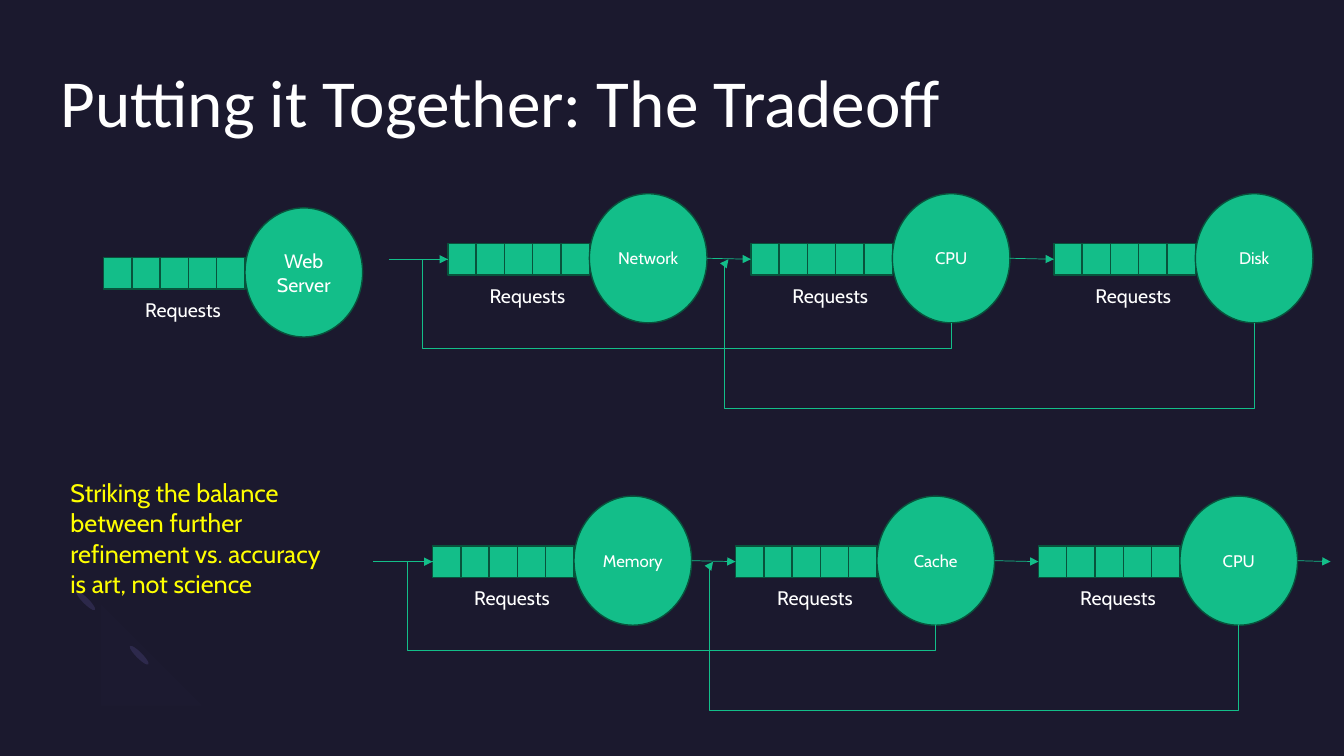
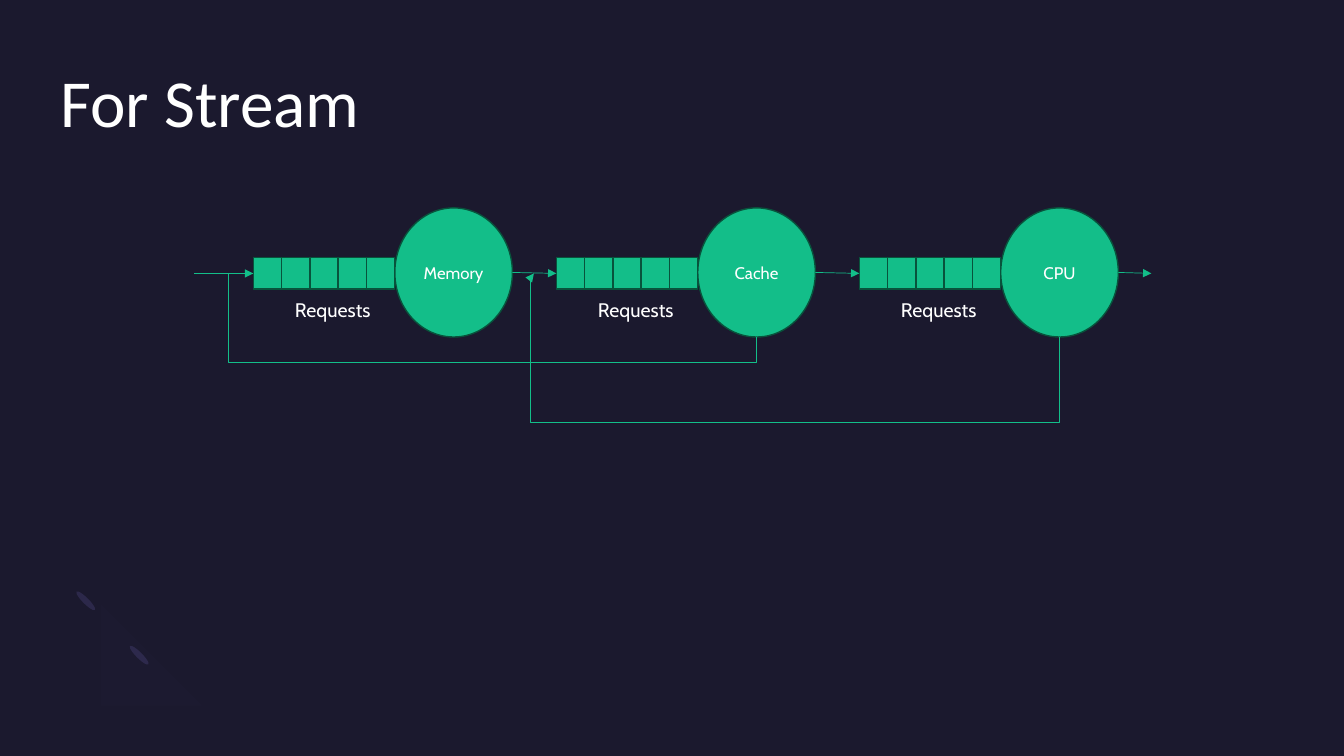
import math

from lxml import etree
from pptx import Presentation
from pptx import util as u
from pptx.dml.color import RGBColor
from pptx.enum import shapes, text
from pptx.oxml.ns import qn

SLIDE_W, SLIDE_H = u.Inches(13.33), u.Inches(7.5)
COLUMNS, ROWS = 48, 24

NIGHT, WHITE, YELLOW = "1B192E", "FFFFFF", "FFFF00"
GREEN, DARK_GREEN = "13BE89", "08533C"
DASH, RING = "2C284A", "7771B2"

TITLE_FONT = {"name": "Calibri", "size": u.Pt(48), "color": WHITE}
SERVER_FONT = {"name": "Cabin", "size": u.Pt(12), "color": WHITE}
LABEL_FONT = {"name": "Cabin", "size": u.Pt(14), "color": WHITE}
NOTE_FONT = {"name": "Cabin", "size": u.Pt(18), "color": YELLOW}

QUEUE_LENGTH, CELL_COLS = 5, 1.01
QUEUE_COLS = QUEUE_LENGTH * CELL_COLS
QUEUE_DROP = 1.58  # rows from the top of a server to its queue
SERVER_COLS, SERVER_ROWS = 4.2, 4.1
STATION_PITCH = 10.82


def col(count):
    return u.Emu(round(SLIDE_W * count / COLUMNS))


def row(count):
    return u.Emu(round(SLIDE_H * count / ROWS))


def rgb(hex_colour):
    return RGBColor.from_string(hex_colour)


def set_all(target, **values):
    for key, value in values.items():
        setattr(target, key, value)


def format_font(font, style):
    for key, value in style.items():
        if key == "color":
            font.color.rgb = rgb(value)
        else:
            setattr(font, key, value)


def add_filled(slide, preset, box, fill, outline=None):
    shape = slide.shapes.add_shape(preset, *box)
    paint(shape, fill, outline)
    return shape


def paint(shape, fill, outline=None):
    shape.shadow.inherit = False
    shape.fill.solid()
    shape.fill.fore_color.rgb = rgb(fill)
    if outline:
        shape.line.color.rgb = rgb(outline)
        shape.line.width = u.Pt(1)
    else:
        shape.line.fill.background()


def add_label(slide, box, lines, style):
    label = slide.shapes.add_textbox(*box)
    frame = label.text_frame
    frame.text = "\n".join(lines)
    set_all(frame, word_wrap=False, auto_size=text.MSO_AUTO_SIZE.SHAPE_TO_FIT_TEXT)
    for paragraph in frame.paragraphs:
        format_font(paragraph.runs[0].font, style)


def style_connector(connector, arrow):
    connector.line.color.rgb = rgb(GREEN)
    connector.line.width = u.Pt(0.5)
    if arrow:
        line = connector.line._get_or_add_ln()
        etree.SubElement(line, qn("a:tailEnd"), type="triangle")
    etree.SubElement(connector._element.spPr, qn("a:effectLst"))


def add_link(slide, start, end, target=None, arrow=True):
    """Draw a straight line, joined to the left side of target if given."""
    link = slide.shapes.add_connector(shapes.MSO_CONNECTOR.STRAIGHT, *start, *end)
    if target is not None:
        link.end_connect(target, 1)
    style_connector(link, arrow)


def add_feedback(slide, start, end, depth, turn_x):
    """Go down from start by depth, left to turn_x, then up and into end."""
    (start_x, start_y), (end_x, end_y) = start, end
    across, rise = start_x - end_x, start_y - end_y
    loop = slide.shapes.add_connector(
        shapes.MSO_CONNECTOR.ELBOW, 0, 0, rise, across)
    set_all(loop,
            left=u.Emu((start_x + end_x - rise) // 2),
            top=u.Emu((start_y + end_y - across) // 2))
    properties = loop._element.spPr
    frame = properties.find(qn("a:xfrm"))
    frame.set("rot", "5400000")
    frame.set("flipH", "1")
    geometry = properties.find(qn("a:prstGeom"))
    geometry.set("prst", "bentConnector4")
    guides = geometry.find(qn("a:avLst"))
    if guides is None:
        guides = etree.SubElement(geometry, qn("a:avLst"))
    ratios = -depth / rise, (start_x - turn_x) / across
    for number, ratio in enumerate(ratios, 1):
        etree.SubElement(guides, qn("a:gd"), name=f"adj{number}",
                         fmla=f"val {round(ratio * 100000)}")
    style_connector(loop, True)


def add_station(slide, left, top, name, style=SERVER_FONT):
    """Draw a request queue with its server; return the first queue cell."""
    cells = [
        add_filled(slide, shapes.MSO_SHAPE.RECTANGLE,
                   (col(left + place * CELL_COLS), row(top + QUEUE_DROP),
                    col(CELL_COLS), row(1)), GREEN, DARK_GREEN)
        for place in range(QUEUE_LENGTH)
    ]
    server = add_filled(slide, shapes.MSO_SHAPE.OVAL,
                        (col(left + QUEUE_COLS), row(top),
                         col(SERVER_COLS), row(SERVER_ROWS)), GREEN, DARK_GREEN)
    frame = server.text_frame
    set_all(frame, text=name, word_wrap=True, vertical_anchor=text.MSO_ANCHOR.MIDDLE)
    frame.paragraphs[0].alignment = text.PP_ALIGN.CENTER
    format_font(frame.paragraphs[0].runs[0].font, style)
    add_label(slide, (col(left + 1.13), row(top + 2.7), col(3.45), row(1.08)),
              ["Requests"], LABEL_FONT)
    return cells[0]


def add_chain(slide, left, top, names, has_exit=True):
    """Draw stations in series with their entry, links and feedback loops."""
    lefts = [left + STATION_PITCH * place for place in range(len(names))]
    heads = [add_station(slide, station, top, name)
             for station, name in zip(lefts, names)]
    queue_y, server_y = row(top + QUEUE_DROP + 0.5), row(top + SERVER_ROWS / 2)
    rights = [station + QUEUE_COLS + SERVER_COLS for station in lefts]

    add_link(slide, (col(left - 2.12), queue_y), (col(left), queue_y),
             heads[0], arrow=False)
    for right, head in zip(rights, heads[1:]):
        add_link(slide, (col(right), server_y), (head.left, queue_y), head)
    if has_exit:
        add_link(slide, (col(rights[-1]), server_y),
                 (col(rights[-1] + 1.18), queue_y))

    loops = [(1, lefts[0], 0.8, 0.9), (2, lefts[1] - 0.8, 2.7, 0.14)]
    for source, landing, depth, turn in loops:
        add_feedback(slide,
                     (col(rights[source] - SERVER_COLS / 2), row(top + SERVER_ROWS)),
                     (col(landing), queue_y), row(depth), col(landing - turn))


def arc(radius, start, stop, steps=24):
    """Points round the centre of the corner ring, in inches."""
    angles = (math.radians(start + (stop - start) * step / steps)
              for step in range(steps + 1))
    return [(1.17 + radius * math.cos(angle), 6.18 + radius * math.sin(angle))
            for angle in angles]


def decorate_layout(layout, slide):
    """Draw the corner ornament and move it from slide to the shared layout."""
    ornaments = []
    for left, top in ((1.35, 6.37), (0.82, 5.83)):
        dash = add_filled(slide, shapes.MSO_SHAPE.OVAL,
                          [u.Inches(length) for length in (left, top, 0.06, 0.26)],
                          DASH)
        dash.rotation = 135
        ornaments.append(dash)
    outline = arc(0.51, 45, 225) + arc(0.26, 225, 45)
    builder = slide.shapes.build_freeform(*outline[0], scale=u.Inches(1))
    builder.add_line_segments(outline[1:], close=True)
    ring = builder.convert_to_shape()
    paint(ring, RING)
    colour = ring._element.spPr.find(qn("a:solidFill"))[0]
    etree.SubElement(colour, qn("a:alpha"), val="2000")
    ornaments.append(ring)
    for place, ornament in enumerate(ornaments, 2):
        layout.shapes.element.insert(place, ornament._element)


def add_titled_slide(deck, layout, title):
    slide = deck.slides.add_slide(layout)
    heading = slide.shapes.title
    set_all(heading, left=col(2.16), top=row(1.92),
            width=col(43.68), height=row(4.67))
    frame = heading.text_frame
    set_all(frame, text=title, word_wrap=True,
            auto_size=text.MSO_AUTO_SIZE.NONE,
            vertical_anchor=text.MSO_ANCHOR.TOP,
            margin_left=0, margin_top=0, margin_right=0, margin_bottom=0)
    frame.paragraphs[0].alignment = text.PP_ALIGN.LEFT
    format_font(frame.paragraphs[0].runs[0].font, TITLE_FONT)
    return slide


def main():
    deck = Presentation()
    set_all(deck, slide_width=SLIDE_W, slide_height=SLIDE_H)
    backdrop = deck.slide_master.background.fill
    backdrop.solid()
    backdrop.fore_color.rgb = rgb(NIGHT)
    layout = deck.slide_layouts.get_by_name("Title Only")

    tradeoff = add_titled_slide(deck, layout, "Putting it Together: The Tradeoff")
    decorate_layout(layout, tradeoff)
    add_station(tradeoff, 3.7, 6.6, "Web Server", LABEL_FONT)
    add_chain(tradeoff, 16, 6.15, ["Network", "CPU", "Disk"], has_exit=False)
    add_chain(tradeoff, 15.45, 15.75, ["Memory", "Cache", "CPU"])
    add_label(tradeoff, (col(2.16), row(15), col(9.94), row(4.2)),
              ["Striking the balance", "between further",
               "refinement vs. accuracy", "is art, not science"], NOTE_FONT)

    stream = add_titled_slide(deck, layout, "For Stream")
    add_chain(stream, 9.05, 6.6, ["Memory", "Cache", "CPU"])

    deck.save("out.pptx")


if __name__ == "__main__":
    main()
